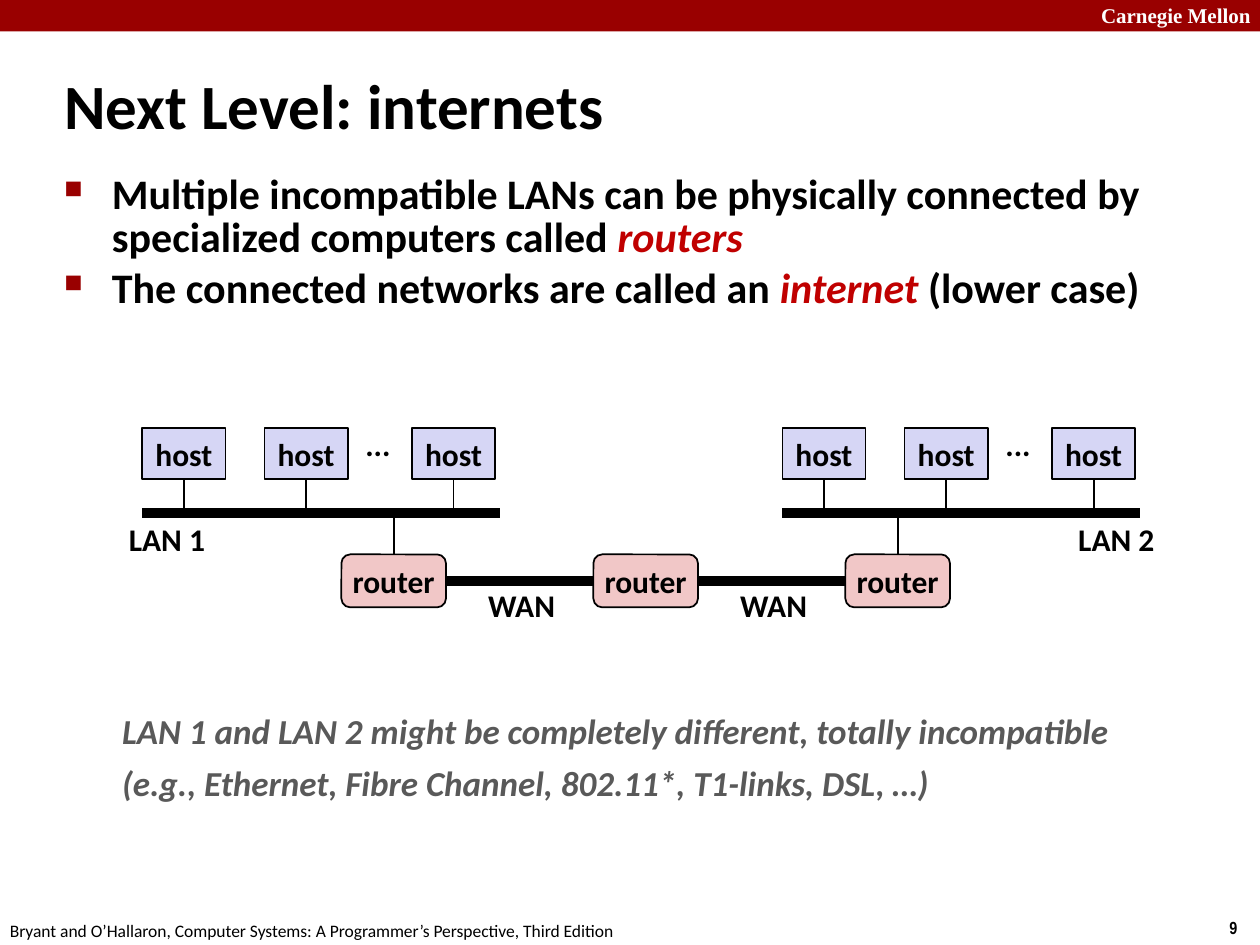
import dataclasses

import pptx
import pptx.dml.color
import pptx.enum.shapes
import pptx.enum.text
import pptx.oxml
import pptx.oxml.ns
import pptx.util
from lxml import etree

COLUMNS, ROWS = 100, 75
SHAPES = pptx.enum.shapes.MSO_SHAPE
ALIGN = pptx.enum.text.PP_ALIGN
ANCHOR = pptx.enum.text.MSO_ANCHOR
TOP, LEFT, BOTTOM, RIGHT = range(4)


@dataclasses.dataclass(frozen=True)
class Theme:
    black: str = "000000"
    white: str = "FFFFFF"
    crimson: str = "990000"
    accent: str = "C00000"
    gray: str = "595959"
    host: str = "D6D6F5"
    router: str = "F1C7C7"
    font: str = "Calibri"
    banner_font: str = "Times New Roman"
    number_font: str = "Arial Narrow"
    title: int = 36
    body: int = 24
    remark: int = 20
    label: int = 18
    banner: int = 12
    footer: int = 10
    thin: int = 1
    thick: int = 6


THEME = Theme()


@dataclasses.dataclass(frozen=True)
class Box:
    """An area in grid columns and rows."""
    left: float
    top: float
    width: float
    height: float

    def inner(self, right, below, width, height):
        return Box(self.left + right, self.top + below, width, height)

    def emu(self):
        return (across(self.left), down(self.top),
                across(self.width), down(self.height))


def across(columns):
    return pptx.util.Inches(10 * columns / COLUMNS)


def down(rows):
    return pptx.util.Inches(7.5 * rows / ROWS)


def rgb(color):
    return pptx.dml.color.RGBColor.from_string(color)


def write(shape, *paragraphs, size=THEME.label, color=THEME.black,
          font=THEME.font, bold=True, italic=False, align=ALIGN.LEFT,
          anchor=ANCHOR.TOP, wrap=True, before=0, spacing=None):
    """Fill a shape; each paragraph is a string or a list of (text, emphasised)."""
    frame = shape.text_frame
    frame.word_wrap = wrap
    frame.auto_size = pptx.enum.text.MSO_AUTO_SIZE.NONE
    frame.vertical_anchor = anchor
    for index, spans in enumerate(paragraphs):
        para = frame.add_paragraph() if index else frame.paragraphs[0]
        para.alignment = align
        para.space_before = pptx.util.Pt(before if index else 0)
        if spacing:
            para.line_spacing = spacing
        for text, emphasised in [(spans, False)] if isinstance(spans, str) else spans:
            span = para.add_run()
            span.text = text
            span.font.name = font
            span.font.size = pptx.util.Pt(size)
            span.font.bold = bold
            span.font.italic = italic or emphasised
            span.font.color.rgb = rgb(THEME.accent if emphasised else color)
    return shape


def add_text(page, box, *paragraphs, **style):
    return write(page.shapes.add_textbox(*box.emu()), *paragraphs, **style)


def add_label(page, box, text):
    return add_text(page, box, text, align=ALIGN.CENTER,
                    anchor=ANCHOR.MIDDLE, wrap=False)


def add_panel(page, box, kind, fill, outline=None):
    panel = page.shapes.add_shape(kind, *box.emu())
    panel.shadow.inherit = False
    panel.fill.solid()
    panel.fill.fore_color.rgb = rgb(fill)
    if outline:
        panel.line.color.rgb = rgb(outline)
        panel.line.width = pptx.util.Pt(THEME.thin)
    else:
        panel.line.fill.background()
    return panel


def add_node(page, box, kind, fill, text):
    return write(add_panel(page, box, kind, fill, THEME.black), text,
                 align=ALIGN.CENTER, anchor=ANCHOR.MIDDLE, wrap=False)


def add_line(page, start=(0, 0), end=(0, 0), width=THEME.thin,
             begin_at=None, end_at=None):
    """Draw between grid points, or join to (shape, side) pairs."""
    line = page.shapes.add_connector(
        pptx.enum.shapes.MSO_CONNECTOR.STRAIGHT,
        across(start[0]), down(start[1]), across(end[0]), down(end[1]))
    line.line.color.rgb = rgb(THEME.black)
    line.line.width = pptx.util.Pt(width)
    etree.SubElement(line._element.spPr, pptx.oxml.ns.qn("a:effectLst"))
    if begin_at:
        line.begin_connect(*begin_at)
    if end_at:
        line.end_connect(*end_at)


def add_bullet(para):
    props = para._p.get_or_add_pPr()
    indent = across(3.8)
    props.set("marL", str(indent))
    props.set("indent", str(-indent))
    space = pptx.oxml.ns.nsdecls("a")
    for bullet in (f'<a:buClr {space}><a:srgbClr val="{THEME.crimson}"/></a:buClr>',
                   f'<a:buSzPct {space} val="60000"/>',
                   f'<a:buChar {space} char="■"/>'):
        props.append(pptx.oxml.parse_xml(bullet))


def add_furniture(page, box):
    """Banner at the top, source and page number at the bottom."""
    add_panel(page, box.inner(0, 0, box.width, 2.5), SHAPES.RECTANGLE, THEME.crimson)
    add_text(page, box.inner(86.4, -0.3, 14.3, 3), "Carnegie Mellon",
             size=THEME.banner, font=THEME.banner_font, color=THEME.white)
    add_text(page, box.inner(96.6, 72.3, 3.4, 2.7), "9",
             size=THEME.footer, font=THEME.number_font)
    add_text(page, box.inner(-0.2, 72.5, 50.8, 2.7),
             "Bryant and O’Hallaron, Computer Systems: A Programmer’s Perspective, Third Edition",
             size=THEME.footer, bold=False)


def add_title(page, box):
    title = page.shapes.title
    title.left, title.top, title.width, title.height = box.emu()
    write(title, "Next Level: internets", size=THEME.title, anchor=ANCHOR.MIDDLE)


def add_points(page, box):
    points = add_text(
        page, box,
        [("Multiple incompatible LANs can be physically connected by "
          "specialized computers called ", False), ("routers", True)],
        [("The connected networks are called an ", False),
         ("internet ", True), ("(lower case)", False)],
        size=THEME.body, spacing=0.85, before=0.2 * THEME.body)
    for para in points.text_frame.paragraphs:
        add_bullet(para)


def add_lan(page, box):
    """Three hosts hanging on a bus along the bottom of the box."""
    bus = box.top + box.height
    add_line(page, (box.left, bus), (box.left + box.width, bus), THEME.thick)
    for offset in (0, 9.7, 21.4):
        place = box.inner(offset, 0, 6.6, 4)
        host = add_node(page, place, SHAPES.RECTANGLE, THEME.host, "host")
        add_line(page, end=(place.left + place.width / 2, bus),
                 begin_at=(host, BOTTOM))
    add_label(page, box.inner(16.7, -0.8, 4, 4), "...")


def add_wan(page, box, bus):
    """Three routers in a row, the outer two tied to the buses above."""
    width = 8.3
    pitch = (box.width - width) / 2
    places = [box.inner(pitch * index, 0, width, box.height) for index in range(3)]
    routers = [add_node(page, place, SHAPES.ROUNDED_RECTANGLE, THEME.router, "router")
               for place in places]
    for place, router, following in zip(places, routers, routers[1:]):
        add_line(page, width=THEME.thick, begin_at=(router, RIGHT),
                 end_at=(following, LEFT))
        add_label(page, place.inner(10.6, 2, 7.4, 4), "WAN")
    for index in (0, -1):
        add_line(page, (places[index].left + width / 2, bus),
                 end_at=(routers[index], TOP))


def add_remark(page, box):
    add_text(page, box,
             "LAN 1 and LAN 2 might be completely different, totally incompatible",
             "(e.g., Ethernet, Fibre Channel, 802.11*, T1-links, DSL, …)",
             size=THEME.remark, color=THEME.gray, italic=True, before=6)


def main():
    deck = pptx.Presentation()
    deck.slide_width, deck.slide_height = across(COLUMNS), down(ROWS)
    page = deck.slides.add_slide(deck.slide_layouts[5])
    add_furniture(page, Box(0, 0, COLUMNS, ROWS))
    add_title(page, Box(4.1, 5.1, 70.5, 6.3))
    add_points(page, Box(4.1, 13.4, 90.9, 13.3))
    for left in (11.3, 62.1):
        add_lan(page, Box(left, 34, 28.4, 6.7))
    add_wan(page, Box(27.1, 44, 48.3, 4.2), bus=40.7)
    add_label(page, Box(9.2, 40.8, 8.1, 4), "LAN 1")
    add_label(page, Box(84.2, 40.8, 8.8, 4), "LAN 2")
    add_remark(page, Box(8.7, 55.8, 88.8, 8.6))
    deck.save("out.pptx")


if __name__ == "__main__":
    main()
